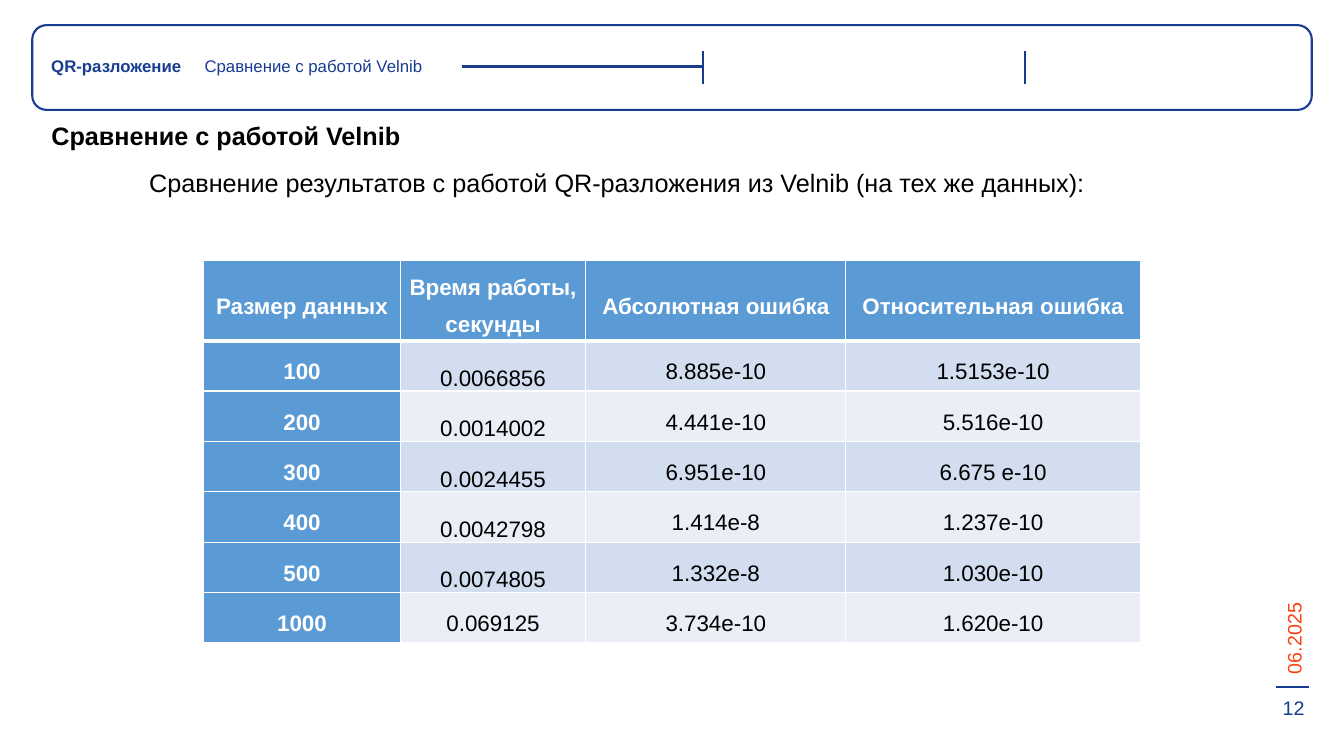
from pptx import Presentation
from pptx.dml.color import RGBColor
from pptx.enum.shapes import MSO_CONNECTOR, MSO_SHAPE
from pptx.enum.text import MSO_ANCHOR, MSO_AUTO_SIZE, PP_ALIGN
from pptx.oxml.ns import qn
from pptx.util import Pt
from lxml.etree import SubElement

# Content
NAVY, RED, BLACK, WHITE = "173C90", "FA4012", "000000", "FFFFFF"
BLUE, BANDS = "5B9BD5", ("D2DEEF", "EAEFF7")
TITLE = "Сравнение с работой Velnib"
LEAD = "Сравнение результатов с работой QR-разложения из Velnib (на тех же данных):"
ROWS = [
    ("Размер данных", "Время работы, секунды", "Абсолютная ошибка", "Относительная ошибка"),
    ("100", "0.0066856", "8.885e-10", "1.5153e-10"),
    ("200", "0.0014002", "4.441e-10", "5.516e-10"),
    ("300", "0.0024455", "6.951e-10", "6.675 e-10"),
    ("400", "0.0042798", "1.414e-8", "1.237e-10"),
    ("500", "0.0074805", "1.332e-8", "1.030e-10"),
    ("1000", "0.069125", "3.734e-10", "1.620e-10"),
]
COLS = (195, 184, 258, 292)
HEAD, ROW = 77, 50
# text, box (px), size, colour, bold, align, turn
LABELS = [
    ("QR-разложение", (41, 50, 175, 30), 12, NAVY, True, PP_ALIGN.LEFT, 0),
    (TITLE, (193, 50, 269, 30), 12, NAVY, False, PP_ALIGN.LEFT, 0),
    ("06.2025", (1223, 601, 121, 34), 14, RED, False, PP_ALIGN.LEFT, 270),
    ("12", (1258, 686, 50, 34), 14, NAVY, False, PP_ALIGN.CENTER, 0),
]
LINES = [
    (458, 66, 697, 66),
    (697, 51, 697, 83),
    (1017, 51, 1017, 83),
    (1266, 682, 1298, 682),
]


# Helpers: 100 px to the inch
def px(*nums):
    return [n * 9144 for n in nums]


def color(code):
    return RGBColor.from_string(code)


def write(frame, text, size, code, bold=False, align=PP_ALIGN.LEFT):
    frame.word_wrap = True
    par = frame.paragraphs[0]
    par.alignment = align
    run = par.add_run()
    run.text = text
    font = run.font
    font.name, font.size, font.bold = "Arial", Pt(size), bold
    font.color.rgb = color(code)
    return par


def place(shape, box):
    shape.left, shape.top, shape.width, shape.height = px(*box)
    frame = shape.text_frame
    frame.auto_size = MSO_AUTO_SIZE.NONE
    frame.vertical_anchor = MSO_ANCHOR.TOP
    return frame


def edge(cell, side, width):
    line = SubElement(cell._tc.get_or_add_tcPr(), qn("a:ln" + side), w=str(Pt(width)))
    fill = SubElement(line, qn("a:solidFill"))
    SubElement(fill, qn("a:srgbClr"), val=WHITE)


deck = Presentation()
deck.slide_width, deck.slide_height = px(1333, 750)
slide = deck.slides.add_slide(deck.slide_layouts[1])
shapes = slide.shapes

# Title and lead sentence
write(place(shapes.title, (41, 114, 831, 40)), TITLE, 18, BLACK, True)
lead = write(place(slide.placeholders[1], (88, 146, 1158, 51)), LEAD, 18, BLACK)
lead.line_spacing, lead.space_before, lead.space_after = 1.5, Pt(0), Pt(6)
props = lead._p.get_or_add_pPr()
props.set("marL", "0")
props.set("indent", str(px(50)[0]))
SubElement(props, qn("a:buNone"))

# Header frame
frame = shapes.add_shape(MSO_SHAPE.ROUNDED_RECTANGLE, *px(32, 25, 1269, 84))
frame.shadow.inherit = False
frame.fill.solid()
frame.fill.fore_color.rgb = color(WHITE)
frame.line.color.rgb = color(NAVY)
frame.line.width = Pt(1.5)

# Rules
for ends in LINES:
    rule = shapes.add_connector(MSO_CONNECTOR.STRAIGHT, *px(*ends))
    rule.line.color.rgb = color(NAVY)
    rule.line.width = Pt(1.5)
    SubElement(rule._element.spPr, qn("a:effectLst"))

# Labels
for text, box, size, code, bold, align, turn in LABELS:
    label = shapes.add_textbox(*px(*box))
    label.rotation = turn
    write(label.text_frame, text, size, code, bold, align)

# Table
high = HEAD + ROW * (len(ROWS) - 1)
table = shapes.add_table(len(ROWS), len(COLS), *px(202, 258, sum(COLS), high)).table
for col, wide in zip(table.columns, px(*COLS)):
    col.width = wide
for r, row in enumerate(ROWS):
    table.rows[r].height = px(ROW if r else HEAD)[0]
    for c, text in enumerate(row):
        cell = table.cell(r, c)
        key = r == 0 or c == 0
        par = write(cell.text_frame, text, 16, WHITE if key else BLACK, key, PP_ALIGN.CENTER)
        par.line_spacing, par.space_after = 1.5, Pt(10)
        low = c == 1 and 0 < r < len(ROWS) - 1
        cell.vertical_anchor = MSO_ANCHOR.BOTTOM if low else MSO_ANCHOR.MIDDLE
        cell.margin_left, cell.margin_right = px(7, 7)
        cell.margin_top = cell.margin_bottom = 0
        for side in "LRTB":
            thick = (r, side) in ((0, "B"), (1, "T"))
            edge(cell, side, 3 if thick else 1)
        cell.fill.solid()
        cell.fill.fore_color.rgb = color(BLUE if key else BANDS[(r - 1) % 2])

deck.save("out.pptx")
